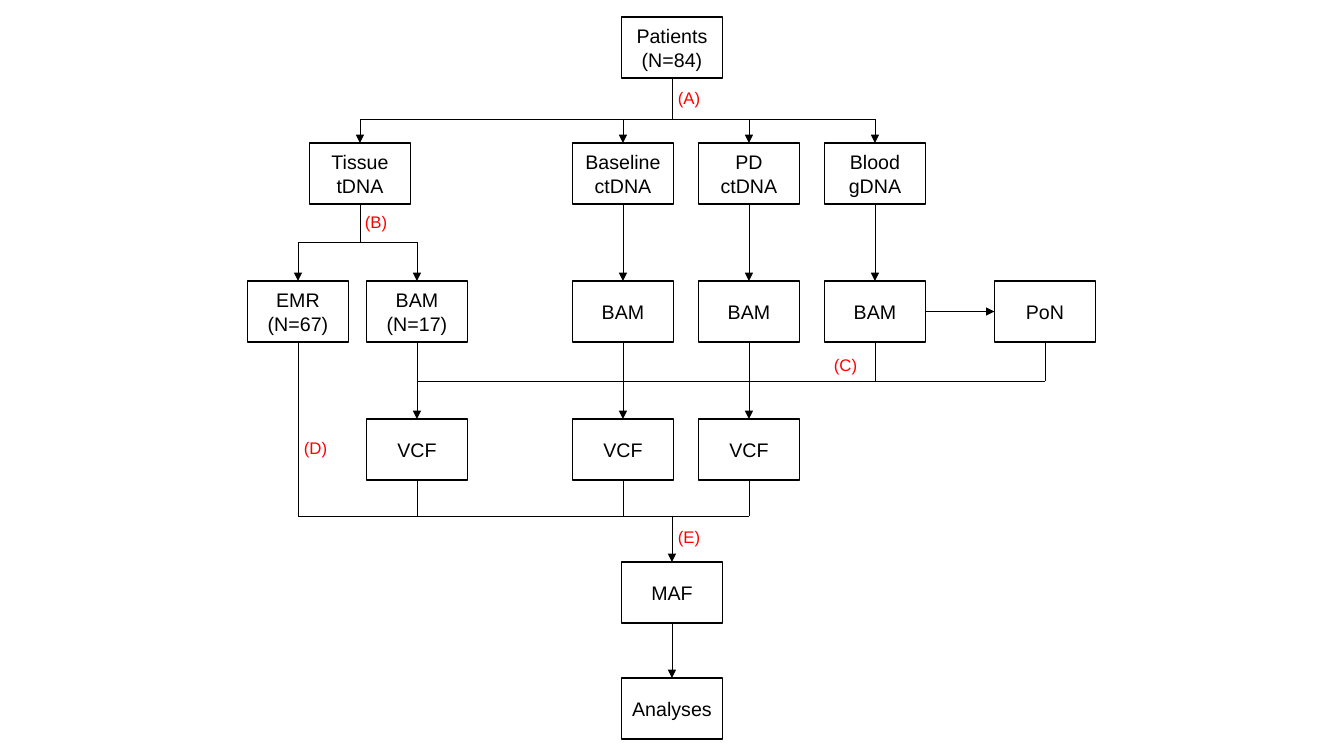
from pptx import Presentation
from pptx.util import Emu, Pt
from pptx.dml.color import RGBColor
from pptx.enum import shapes, text
from pptx.oxml import parse_xml
from pptx.oxml.ns import nsdecls, qn

THEME = dict(font="Arial", ink=RGBColor(0, 0, 0), tag=RGBColor(255, 0, 0),
             box_size=Pt(14), tag_size=Pt(12), border=Pt(1), line=Pt(0.5))
PX = 914400 / 100.8
BOX_W, BOX_H = 101, 61

# Column centres and row tops, in pixels
COLUMNS = dict(emr=298, tissue=360, bam=417, baseline=623, main=672,
               pd=749, blood=875, pon=1045)
ROWS = dict(patients=17, samples=143, reads=281, variants=419, maf=562, analyses=678)
BUSES = dict(split=119, tissue=242, calling=381, merge=516)

# Steps: column, row, text
STEPS = [
    ("main", "patients", "Patients\n(N=84)"),
    ("tissue", "samples", "Tissue\ntDNA"),
    ("baseline", "samples", "Baseline\nctDNA"),
    ("pd", "samples", "PD\nctDNA"),
    ("blood", "samples", "Blood\ngDNA"),
    ("emr", "reads", "EMR\n(N=67)"),
    ("bam", "reads", "BAM\n(N=17)"),
    ("baseline", "reads", "BAM"),
    ("pd", "reads", "BAM"),
    ("blood", "reads", "BAM"),
    ("pon", "reads", "PoN"),
    ("bam", "variants", "VCF"),
    ("baseline", "variants", "VCF"),
    ("pd", "variants", "VCF"),
    ("main", "maf", "MAF"),
    ("main", "analyses", "Analyses"),
]
# Straight arrows from row to row: columns, start row, end row
DROPS = [
    (("baseline", "pd", "blood"), "samples", "reads"),
    (("bam", "baseline", "pd"), "reads", "variants"),
    (("main",), "maf", "analyses"),
]
# Buses: name, end columns, feeding (column, row), fed (column, row)
JUNCTIONS = [
    ("split", ("tissue", "blood"), [("main", "patients")],
     [(c, "samples") for c in ("tissue", "baseline", "pd", "blood")]),
    ("tissue", ("emr", "bam"), [("tissue", "samples")],
     [("emr", "reads"), ("bam", "reads")]),
    ("calling", ("bam", "pon"), [("blood", "reads"), ("pon", "reads")], []),
    ("merge", ("emr", "pd"),
     [("emr", "reads")] + [(c, "variants") for c in ("bam", "baseline", "pd")],
     [("main", "maf")]),
]
# Red tags: text, left, top
TAGS = [("(A)", 668, 83), ("(B)", 355, 207), ("(C)", 824, 350),
        ("(D)", 294, 433), ("(E)", 668, 522)]


def px(*values):
    return [Emu(round(v * PX)) for v in values]


def bottom(row):
    return ROWS[row] + BOX_H


def write(frame, words, size, color, align):
    frame.text = words
    frame.word_wrap = False
    for paragraph in frame.paragraphs:
        paragraph.alignment = align
        for run in paragraph.runs:
            run.font.name, run.font.size = THEME["font"], size
            run.font.color.rgb = color


def connect(slide, x1, y1, x2, y2, arrow=False):
    link = slide.shapes.add_connector(shapes.MSO_CONNECTOR.STRAIGHT, *px(x1, y1, x2, y2))
    link.line.color.rgb, link.line.width = THEME["ink"], THEME["line"]
    properties = link._element.spPr
    if arrow:
        properties.find(qn("a:ln")).append(
            parse_xml(f'<a:tailEnd {nsdecls("a")} type="triangle"/>'))
    properties.append(parse_xml(f'<a:effectLst {nsdecls("a")}/>'))


deck = Presentation()
deck.slide_width, deck.slide_height = px(1344, 756)
slide = deck.slides.add_slide(deck.slide_layouts[6])

# Step boxes
for column, row, words in STEPS:
    step = slide.shapes.add_shape(
        shapes.MSO_SHAPE.RECTANGLE,
        *px(COLUMNS[column] - BOX_W / 2, ROWS[row], BOX_W, BOX_H))
    step.shadow.inherit = False
    step.fill.background()
    step.line.color.rgb, step.line.width = THEME["ink"], THEME["border"]
    step.text_frame.vertical_anchor = text.MSO_ANCHOR.MIDDLE
    write(step.text_frame, words, THEME["box_size"], THEME["ink"], text.PP_ALIGN.CENTER)

# Straight arrows
for columns, start, end in DROPS:
    for column in columns:
        x = COLUMNS[column]
        connect(slide, x, bottom(start), x, ROWS[end], arrow=True)
middle = ROWS["reads"] + BOX_H / 2
connect(slide, COLUMNS["blood"] + BOX_W / 2, middle,
        COLUMNS["pon"] - BOX_W / 2, middle, arrow=True)

# Buses with their branches
for bus, (first, last), feeding, fed in JUNCTIONS:
    y = BUSES[bus]
    connect(slide, COLUMNS[first], y, COLUMNS[last], y)
    for column, row in feeding:
        connect(slide, COLUMNS[column], bottom(row), COLUMNS[column], y)
    for column, row in fed:
        connect(slide, COLUMNS[column], y, COLUMNS[column], ROWS[row], arrow=True)

# Red tags
for words, left, top in TAGS:
    tag = slide.shapes.add_textbox(*px(left, top, 44, 30))
    write(tag.text_frame, words, THEME["tag_size"], THEME["tag"], text.PP_ALIGN.LEFT)
    tag.text_frame.auto_size = text.MSO_AUTO_SIZE.SHAPE_TO_FIT_TEXT

deck.save("out.pptx")
